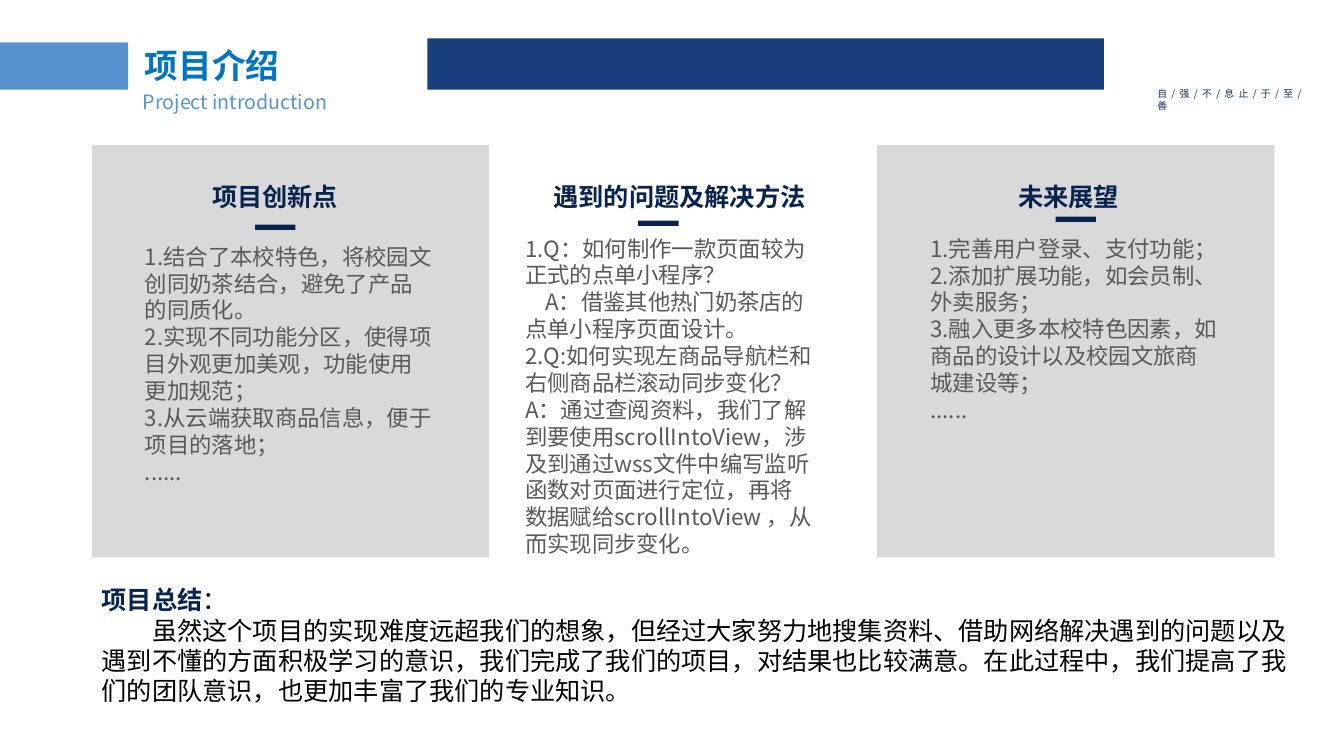
import lxml.etree
import pptx
import pptx.dml.color
import pptx.enum.shapes
import pptx.enum.text
import pptx.oxml.ns
import pptx.util

THEME = {
    "font": "Noto Sans CJK SC",
    "leading": 1.2,
    "royal": "173D7A", "sky": "5793CE", "slogan": "142E60", "panel": "D9D9D9",
    "navy": "09234F", "body": "595959", "title": "0075BF", "black": "000000",
    "title_size": 24, "heading_size": 18, "body_size": 16,
    "subtitle_size": 14, "slogan_size": 7,
}
KIND = pptx.enum.shapes.MSO_SHAPE
ALIGN = pptx.enum.text.PP_ALIGN
ANCHOR = pptx.enum.text.MSO_ANCHOR

deck = pptx.Presentation()
deck.slide_width = pptx.util.Inches(13.33)
deck.slide_height = pptx.util.Inches(7.5)
page = deck.slides.add_slide(deck.slide_layouts[6])


def add_box(area, kind=None, fill=None):
    """Add a shape, or a text box when kind is None; area is in percent of the slide."""
    sides = (deck.slide_width, deck.slide_height) * 2
    place = [int(side * share / 100) for side, share in zip(sides, area)]
    if kind is None:
        box = page.shapes.add_textbox(*place)
    else:
        box = page.shapes.add_shape(kind, *place)
        box.shadow.inherit = False
        box.line.fill.background()
        if fill:
            box.fill.solid()
            box.fill.fore_color.rgb = pptx.dml.color.RGBColor.from_string(THEME[fill])
        else:
            box.fill.background()
    box.text_frame.word_wrap = True
    return box


def write(box, text, size, color, bold=False, align=ALIGN.LEFT):
    """Fill the box with text in one style and return its paragraphs."""
    box.text_frame.text = text
    for para in box.text_frame.paragraphs:
        para.alignment = align
        para.line_spacing = pptx.util.Pt(THEME[size] * THEME["leading"])
        for span in para.runs:
            span.font.name = THEME["font"]
            span.font.size = pptx.util.Pt(THEME[size])
            span.font.bold = bold
            span.font.color.rgb = pptx.dml.color.RGBColor.from_string(THEME[color])
            east_asian = lxml.etree.SubElement(
                span._r.get_or_add_rPr(), pptx.oxml.ns.qn("a:ea"))
            east_asian.set("typeface", THEME["font"])
    return box.text_frame.paragraphs


# Header
add_box((31.8, 5.07, 50.33, 6.8), KIND.RECTANGLE, "royal")
add_box((0, 5.6, 9.53, 6.27), KIND.RECTANGLE, "sky")

slogan = write(add_box((85.37, 10.93, 12.98, 2.93)),
               "自 / 强 / 不 / 息 止 / 于 / 至 / 善", "slogan_size", "slogan")
slogan[0].runs[0]._r.get_or_add_rPr().set("spc", "80")

title_box = add_box((10.05, 6, 21.23, 5.2))
title_box.text_frame.vertical_anchor = ANCHOR.MIDDLE
write(title_box, "项目介绍", "title_size", "title", bold=True)
write(add_box((9.9, 11.2, 26.93, 2.8)), "Project introduction", "subtitle_size", "sky")

# Three columns: panel, heading, short rule, body
columns = [
    {"panel_left": 6.83, "heading": "项目创新点", "heading_left": 14.25,
     "heading_width": 12.45, "rule": (18.98, 29.73), "body": (10.05, 31.47, 23.03, 33.6),
     "lines": ["1.结合了本校特色，将校园文创同奶茶结合，避免了产品的同质化。",
               "2.实现不同功能分区，使得项目外观更加美观，功能使用更加规范；",
               "3.从云端获取商品信息，便于项目的落地；",
               "......"]},
    {"panel_left": None, "heading": "遇到的问题及解决方法", "heading_left": 39.76,
     "heading_width": 21.6, "rule": (47.49, 29.2), "body": (38.33, 30.4, 23.03, 44.4),
     "lines": ["1.Q：如何制作一款页面较为正式的点单小程序？",
               "A：借鉴其他热门奶茶店的点单小程序页面设计。",
               "2.Q:如何实现左商品导航栏和右侧商品栏滚动同步变化？",
               "A：通过查阅资料，我们了解到要使用scrollIntoView，涉及到通过wss文件中编写"
               "监听函数对页面进行定位，再将数据赋给scrollIntoView ，从而实现同步变化。"],
     "indented": 1},
    {"panel_left": 65.27, "heading": "未来展望", "heading_left": 73.3,
     "heading_width": 12.45, "rule": (78.54, 28.67), "body": (68.49, 30.4, 23.03, 26.4),
     "lines": ["1.完善用户登录、支付功能；",
               "2.添加扩展功能，如会员制、外卖服务；",
               "3.融入更多本校特色因素，如商品的设计以及校园文旅商城建设等；",
               "......"]},
]
for column in columns:
    if column["panel_left"] is not None:
        add_box((column["panel_left"], 19.2, 29.56, 54.53), KIND.RECTANGLE, "panel")
    heading_box = add_box((column["heading_left"], 23.2, column["heading_width"], 5.6),
                          KIND.ROUNDED_RECTANGLE)
    heading_box.adjustments[0] = 0.5
    heading_box.text_frame.vertical_anchor = ANCHOR.MIDDLE
    write(heading_box, column["heading"], "heading_size", "navy", True, ALIGN.CENTER)
    add_box((*column["rule"], 3, 0.67), KIND.RECTANGLE, "navy")
    paras = write(add_box(column["body"]), "\n".join(column["lines"]), "body_size", "body")
    if "indented" in column:
        indent = int(deck.slide_width * 0.015)
        paras[column["indented"]]._p.get_or_add_pPr().set("indent", str(indent))

# Summary
label = "项目总结"
summary = write(
    add_box((6.83, 76.67, 90.02, 18.93)),
    label + "：\n虽然这个项目的实现难度远超我们的想象，但经过大家努力地搜集资料、借助网络解决"
    "遇到的问题以及遇到不懂的方面积极学习的意识，我们完成了我们的项目，对结果也比较满意。"
    "在此过程中，我们提高了我们的团队意识，也更加丰富了我们的专业知识。",
    "heading_size", "black")
summary[1]._p.get_or_add_pPr().set("indent", str(int(deck.slide_width * 0.0375)))
colon = summary[0].runs[0]
label_span = summary[0].add_run()
label_span.text = label
label_span.font.name = THEME["font"]
label_span.font.size = colon.font.size
label_span.font.bold = True
label_span.font.color.rgb = pptx.dml.color.RGBColor.from_string(THEME["navy"])
east_asian = lxml.etree.SubElement(label_span._r.get_or_add_rPr(), pptx.oxml.ns.qn("a:ea"))
east_asian.set("typeface", THEME["font"])
colon.text = "："
colon._r.addprevious(label_span._r)

deck.save("out.pptx")
